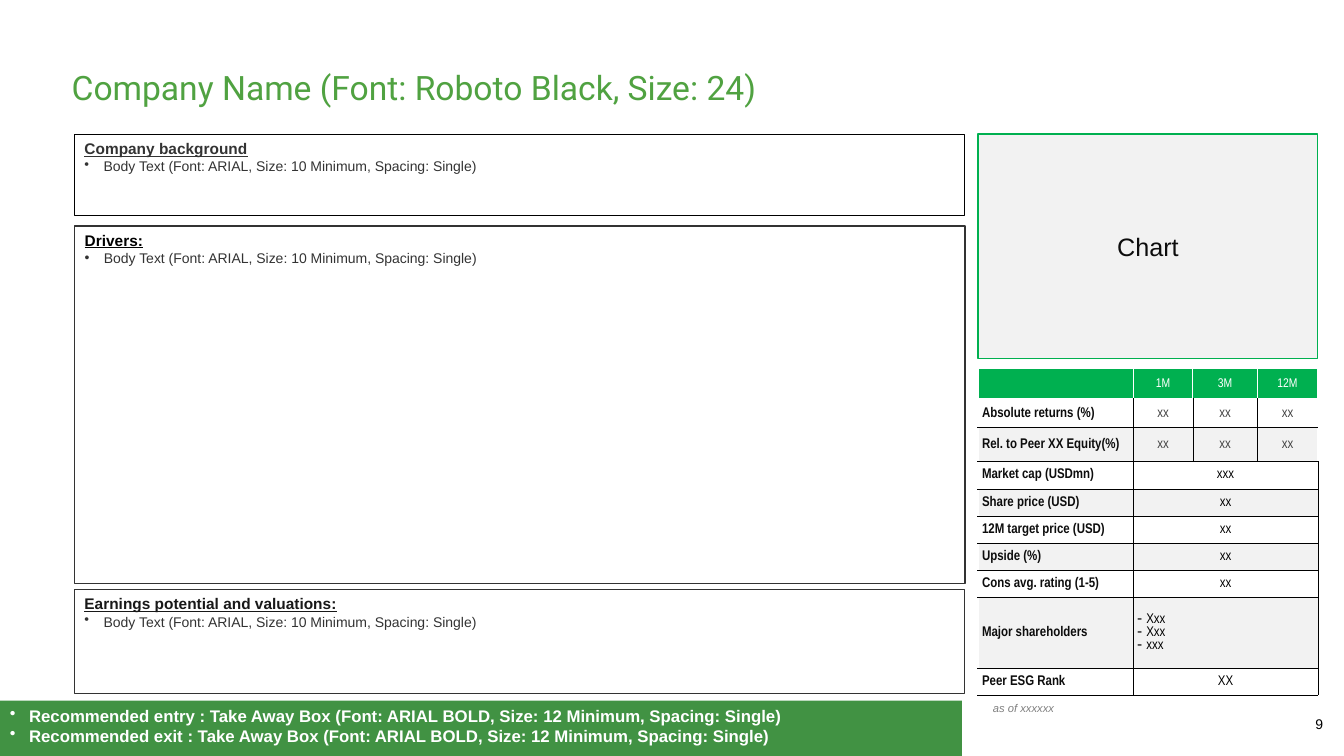
from lxml import etree
from pptx import Presentation
from pptx.dml.color import RGBColor
from pptx.enum.shapes import MSO_SHAPE as Preset
from pptx.enum.text import MSO_ANCHOR as Anchor, MSO_AUTO_SIZE as AutoSize, PP_ALIGN as Align
from pptx.oxml.ns import qn
from pptx.util import Inches, Pt

WIDTH, HEIGHT = Inches(13.33), Inches(7.5)
GREEN, PALE, WHITE, BLACK = "00B050", "F2F2F2", "FFFFFF", "000000"
INK, NEAR_BLACK = "333333", "0D0D0D"
PANEL_LEFT, PANEL_WIDTH = 5.55, 66.24
SIDE_LEFT, SIDE_WIDTH = 72.77, 25.28
TOP = 17.73
BODY_TEXT = "Body Text (Font: ARIAL, Size: 10 Minimum, Spacing: Single)"

HEADINGS = ["", "1M", "3M", "12M"]
COLUMN_WIDTHS = [11.55, 4.43, 4.8, 4.5]
FACTS = [
    ("Absolute returns (%)", ["xx"] * 3),
    ("Rel. to Peer XX Equity(%)", ["xx"] * 3),
    ("Market cap (USDmn)", ["xxx"]),
    ("Share price (USD)", ["xx"]),
    ("12M target price (USD)", ["xx"]),
    ("Upside (%)", ["xx"]),
    ("Cons avg. rating (1-5)", ["xx"]),
    ("Major shareholders", ["Xxx\nXxx\nxxx"]),
    ("Peer ESG Rank", ["XX"]),
]
ROW_HEIGHTS = [4.27, 3.6, 4.53] + [3.6] * 5 + [9.33, 3.6]


def color(hex_text):
    return RGBColor.from_string(hex_text)


def across(share):
    return round(WIDTH * share / 100)


def down(share):
    return round(HEIGHT * share / 100)


def box(left, top, width, height):
    """Turn percentages of the slide into left, top, width and height."""
    return across(left), down(top), across(width), down(height)


def apply(target, values):
    for name, value in values.items():
        setattr(target, name, value)


def set_bullet(paragraph, mark, indent):
    properties = paragraph._p.get_or_add_pPr()
    if mark:
        properties.set("marL", str(Inches(indent)))
        properties.set("indent", str(-Inches(indent)))
        etree.SubElement(properties, qn("a:buChar")).set("char", mark)
    else:
        properties.set("marL", "0")
        properties.set("indent", "0")
        etree.SubElement(properties, qn("a:buNone"))


def write(frame, lines, align=Align.LEFT, indent=0.19, spacing=1.0, **frame_format):
    """Fill a text frame from (text, bullet mark, ink, font format) lines."""
    apply(frame, {"word_wrap": True, "auto_size": AutoSize.NONE,
                  "vertical_anchor": Anchor.TOP, **frame_format})
    for index, (text, mark, ink, font_format) in enumerate(lines):
        paragraph = frame.add_paragraph() if index else frame.paragraphs[0]
        set_bullet(paragraph, mark, indent)
        apply(paragraph, {"alignment": align, "line_spacing": spacing,
                          "space_before": Pt(0), "space_after": Pt(0)})
        run = paragraph.add_run()
        run.text = text
        apply(run.font, {"name": "Arial", **font_format})
        run.font.color.rgb = color(ink)


def add_box(slide, place, fill=None, line=None, weight=1):
    shape = slide.shapes.add_shape(Preset.RECTANGLE, *place)
    shape.shadow.inherit = False
    paint(shape, fill, line, weight)
    return shape


def paint(shape, fill, line, weight):
    for part, hex_text in ((shape.fill, fill), (shape.line.fill, line)):
        if hex_text:
            part.solid()
            part.fore_color.rgb = color(hex_text)
        else:
            part.background()
    if line:
        shape.line.width = Pt(weight)


def write_panel(shape, heading, ink):
    write(shape.text_frame, [
        (heading, None, ink, {"size": Pt(11), "bold": True, "underline": True}),
        (BODY_TEXT, "•", INK, {"size": Pt(10)}),
    ])


def add_label(slide, place, text, ink, align=Align.LEFT, anchor=Anchor.TOP, **font_format):
    label = slide.shapes.add_textbox(*place)
    write(label.text_frame, [(text, None, ink, font_format)], align, vertical_anchor=anchor)


def set_borders(cell, **sides):
    """Draw the cell borders L, R, T and B, each a (colour, points) pair."""
    properties = cell._tc.get_or_add_tcPr()
    for side in "LRTB":
        hex_text, weight = sides[side]
        border = etree.SubElement(properties, qn(f"a:ln{side}"), w=str(Pt(weight)))
        solid = etree.SubElement(border, qn("a:solidFill"))
        etree.SubElement(solid, qn("a:srgbClr"), val=hex_text)


def write_cell(cell, text, ink, size, bold=False):
    apply(cell, {"vertical_anchor": Anchor.MIDDLE,
                 "margin_left": Inches(0.04), "margin_right": Inches(0.04),
                 "margin_top": Inches(0.02), "margin_bottom": Inches(0.02)})
    if not text:
        end = etree.SubElement(cell.text_frame.paragraphs[0]._p, qn("a:endParaRPr"))
        end.set("sz", str(size * 100))
        return
    parts = text.split("\n")
    mark = "-" if len(parts) > 1 else None
    font_format = {"name": "Arial Narrow", "size": Pt(size), "bold": bold}
    frame = cell.text_frame
    for index, part in enumerate(parts):
        paragraph = frame.add_paragraph() if index else frame.paragraphs[0]
        set_bullet(paragraph, mark, 0.09)
        paragraph.alignment = Align.LEFT if bold or mark else Align.CENTER
        run = paragraph.add_run()
        run.text = part
        apply(run.font, font_format)
        run.font.color.rgb = color(ink)


def fill_cell(cell, hex_text):
    if hex_text:
        cell.fill.solid()
        cell.fill.fore_color.rgb = color(hex_text)
    else:
        cell.fill.background()


def add_facts_table(slide):
    place = box(SIDE_LEFT, 48.67, SIDE_WIDTH, sum(ROW_HEIGHTS))
    table = slide.shapes.add_table(len(ROW_HEIGHTS), len(COLUMN_WIDTHS), *place).table
    apply(table, {"first_row": False, "horz_banding": False})
    for column, share in zip(table.columns, COLUMN_WIDTHS):
        column.width = across(share)
    for row, share in zip(table.rows, ROW_HEIGHTS):
        row.height = down(share)

    edge, rule = (WHITE, 1), (BLACK, 0.25)
    for cell, heading in zip(table.rows[0].cells, HEADINGS):
        set_borders(cell, L=edge, R=edge, T=edge, B=(WHITE, 3))
        fill_cell(cell, GREEN)
        write_cell(cell, heading, WHITE, 9)

    last = len(COLUMN_WIDTHS) - 1
    for number, (label, values) in enumerate(FACTS, start=1):
        cells = list(table.rows[number].cells)
        for index, cell in enumerate(cells):
            set_borders(cell, L=rule if index else edge, R=edge if index == last else rule,
                        T=edge if number == 1 else rule, B=rule)
            fill_cell(cell, None if number % 2 else PALE)
        if len(values) == 1:
            cells[1].merge(cells[last])
        write_cell(cells[0], label, NEAR_BLACK, 10, bold=True)
        for cell, value in zip(cells[1:], values):
            write_cell(cell, value, BLACK if len(values) == 1 else "434343", 10)


def main():
    presentation = Presentation()
    apply(presentation, {"slide_width": WIDTH, "slide_height": HEIGHT})
    slide = presentation.slides.add_slide(presentation.slide_layouts[1])
    title, drivers = slide.placeholders

    apply(title, dict(zip(("left", "top", "width", "height"), box(5.33, 9.47, 78.77, 6.93))))
    write(title.text_frame, [("Company Name (Font: Roboto Black, Size: 24)", None, "50A241",
                              {"name": "Roboto", "size": Pt(24)})],
          spacing=0.9, margin_left=0, margin_top=0, margin_bottom=0)

    background = add_box(slide, box(PANEL_LEFT, TOP, PANEL_WIDTH, 10.8), line=BLACK, weight=0.75)
    write_panel(background, "Company background", INK)
    apply(drivers, dict(zip(("left", "top", "width", "height"),
                            box(PANEL_LEFT, 29.87, PANEL_WIDTH, 47.33))))
    paint(drivers, None, INK, 1)
    write_panel(drivers, "Drivers:", BLACK)
    earnings = add_box(slide, box(PANEL_LEFT, 78, PANEL_WIDTH, 13.73), line=INK)
    write_panel(earnings, "Earnings potential and valuations:", "181818")

    takeaway = add_box(slide, box(0, 92.67, 71.57, 7.33), fill="419243")
    write(takeaway.text_frame, [
        (f"Recommended {step} : Take Away Box (Font: ARIAL BOLD, Size: 12 Minimum, Spacing: Single)",
         "•", WHITE, {"size": Pt(12), "bold": True}) for step in ("entry", "exit")])

    chart_area = add_box(slide, box(SIDE_LEFT, TOP, SIDE_WIDTH, 29.73), PALE, GREEN)
    write(chart_area.text_frame, [("Chart", None, NEAR_BLACK, {"size": Pt(18)})],
          Align.CENTER, vertical_anchor=Anchor.MIDDLE)
    add_facts_table(slide)
    add_label(slide, box(73.14, 91.87, 10.05, 3.6), "as of xxxxxx", "808080",
              anchor=Anchor.MIDDLE, size=Pt(8), italic=True)
    add_label(slide, box(96.25, 94, 2.93, 3.87), "9", BLACK, Align.RIGHT, size=Pt(10))
    presentation.save("out.pptx")


if __name__ == "__main__":
    main()
